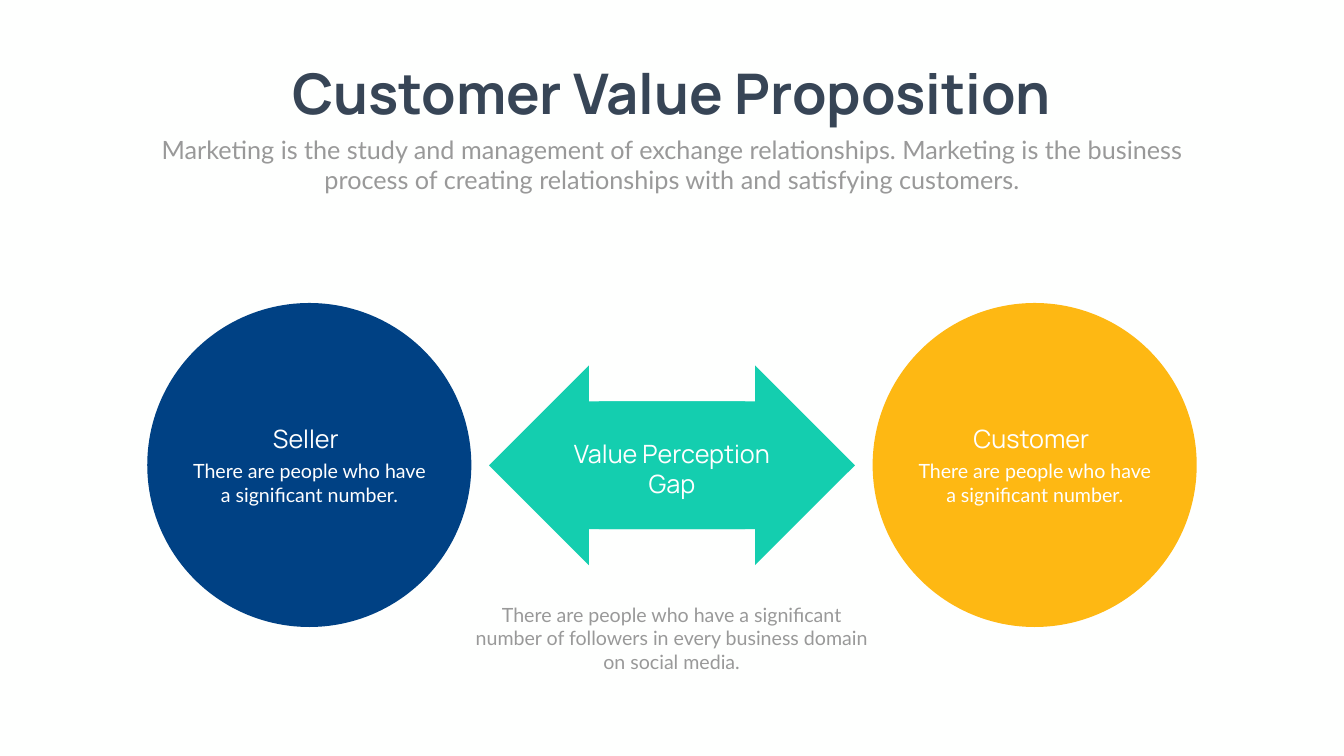
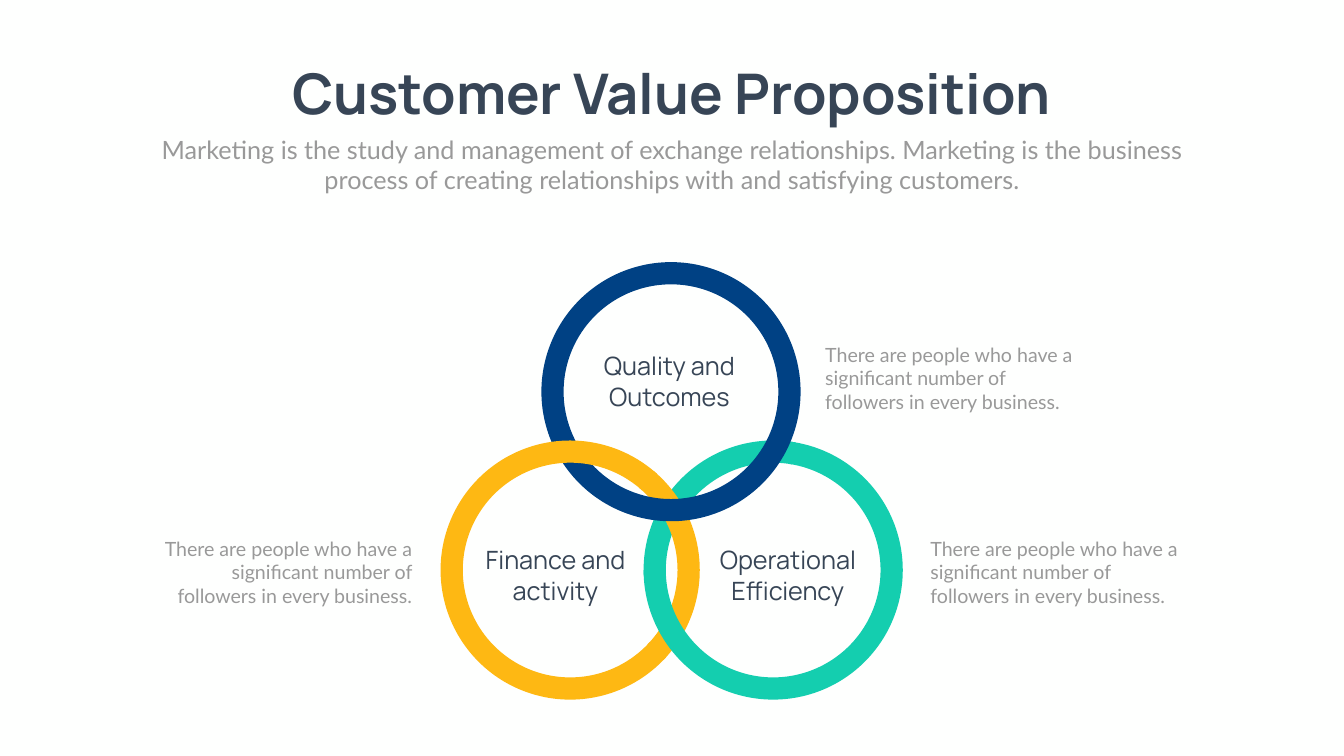
from pptx import Presentation
from pptx.dml.color import RGBColor
from pptx.enum.shapes import MSO_SHAPE as SHAPE
from pptx.enum.text import MSO_AUTO_SIZE as FIT, PP_ALIGN as ALIGN
from pptx.util import Cm, Pt

COLORS = {
    "background": "FEFFFE",
    "white": "FFFFFF",
    "dark": "374556",
    "gray": "999999",
    "blue": "004184",
    "yellow": "FEB813",
    "teal": "14CEAF",
}
HEAD_FONT, BODY_FONT = "Manrope", "Lato"
SLIDE_W, SLIDE_H = 67.72, 38.1
MARGIN = 7.42

CIRCLE_D, CIRCLE_TOP = 16.33, 15.27
RING_R, RING_HOLE_R = 6.53, 5.41
RING_BAND = (RING_R - RING_HOLE_R) / (2 * RING_R)

TITLE = "Customer Value Proposition"
SUBTITLE = ("Marketing is the study and management of exchange relationships. "
            "Marketing is the business process of creating relationships "
            "with and satisfying customers.")
PEOPLE = "There are people who have a significant number"
NOTE = f"{PEOPLE} of followers in every business."


def rgb(name):
    return RGBColor.from_string(COLORS[name])


def add_preset(s, kind, x, y, w, h, color, adjustments=()):
    sp = s.shapes.add_shape(kind, Cm(x), Cm(y), Cm(w), Cm(h))
    sp.fill.solid()
    sp.fill.fore_color.rgb = rgb(color)
    sp.line.fill.background()
    sp.shadow.inherit = False
    for i, value in enumerate(adjustments):
        sp.adjustments[i] = value
    return sp


def add_text(s, text, x, y, w, h, size, font, color,
             align=ALIGN.CENTER, bold=False, wrap=True):
    tf = s.shapes.add_textbox(Cm(x), Cm(y), Cm(w), Cm(h)).text_frame
    tf.word_wrap = wrap
    tf.auto_size = FIT.SHAPE_TO_FIT_TEXT
    p = tf.paragraphs[0]
    p.alignment = align
    r = p.add_run()
    r.text = text
    r.font.name, r.font.size, r.font.bold = font, Pt(size), bold
    r.font.color.rgb = rgb(color)


def add_heading(s, text, x, y, w, h, color):
    add_text(s, text, x, y, w, h, 36, HEAD_FONT, color)


def add_body(s, text, x, y, w, h, color="gray", align=ALIGN.CENTER):
    add_text(s, text, x, y, w, h, 28, BODY_FONT, color, align)


def add_round(s, kind, center, color, adjustments):
    cx, cy = center
    add_preset(s, kind, cx - RING_R, cy - RING_R, 2 * RING_R, 2 * RING_R,
               color, adjustments)


def add_ring(s, center, color):
    add_round(s, SHAPE.DONUT, center, color, [RING_BAND])


def add_ring_arc(s, center, start, end, color):
    """Draw part of a ring, clockwise between two angles in degrees from east."""
    # An adjustment of 0.6 stands for one degree
    angles = [a % 360 * 0.6 for a in (start, end)]
    add_round(s, SHAPE.BLOCK_ARC, center, color, [*angles, RING_BAND])


def add_slide(prs):
    s = prs.slides.add_slide(prs.slide_layouts[6])
    s.background.fill.solid()
    s.background.fill.fore_color.rgb = rgb("background")
    add_text(s, TITLE, 13.03, 2.84, 41.63, 3.68, 80, HEAD_FONT, "dark",
             bold=True, wrap=False)
    add_text(s, SUBTITLE, MARGIN, 6.63, SLIDE_W - 2 * MARGIN, 3.33,
             36, BODY_FONT, "gray")
    return s


def add_party(s, name, x, color):
    add_preset(s, SHAPE.OVAL, x, CIRCLE_TOP, CIRCLE_D, CIRCLE_D, color)
    add_heading(s, name, x + 2.13, 21.21, 11.73, 1.8, "white")
    add_body(s, f"{PEOPLE}.", x + 2, 23.01, 12.34, 2.64, "white")


def add_arrow(s, x, rotation):
    sp = add_preset(s, SHAPE.RIGHT_ARROW, x, 18.42, 12.9, 10.06, "teal",
                    [0.64, 0.5])
    sp.rotation = rotation


def add_perception_gap(prs):
    s = add_slide(prs)
    add_party(s, "Seller", MARGIN, "blue")
    add_party(s, "Customer", SLIDE_W - MARGIN - CIRCLE_D, "yellow")
    add_arrow(s, 30.18, 0)
    add_arrow(s, 24.64, 180)
    add_heading(s, "Value Perception Gap", 27.99, 21.97, 11.73, 3.33, "white")
    add_body(s, f"{PEOPLE} of followers in every business domain on social media.",
             23.72, 30.25, 20.24, 3.84)


def add_linked_rings(prs):
    s = add_slide(prs)
    quality, finance, efficiency = (33.81, 19.74), (28.73, 28.73), (38.96, 28.73)

    # Stacking the arcs in this order weaves the three rings together
    add_ring_arc(s, efficiency, 178, 280, "teal")
    add_ring_arc(s, finance, -50, 44, "yellow")
    add_ring_arc(s, efficiency, -82, 180, "teal")
    add_ring(s, quality, "blue")
    add_ring_arc(s, finance, 42, 312, "yellow")

    for text, x, y in (("Quality and Outcomes", 29.36, 17.55),
                       ("Operational Efficiency", 35.33, 27.33),
                       ("Finance and activity", 23.62, 27.33)):
        add_heading(s, text, x, y, 8.74, 3.33, "dark")
    for x, y, align in ((MARGIN, 26.92, ALIGN.RIGHT),
                        (46.63, 26.92, ALIGN.LEFT),
                        (41.33, 17.15, ALIGN.LEFT)):
        add_body(s, NOTE, x, y, 13.59, 3.84, align=align)


def main():
    prs = Presentation()
    prs.slide_width, prs.slide_height = Cm(SLIDE_W), Cm(SLIDE_H)
    add_perception_gap(prs)
    add_linked_rings(prs)
    prs.save("out.pptx")


if __name__ == "__main__":
    main()
